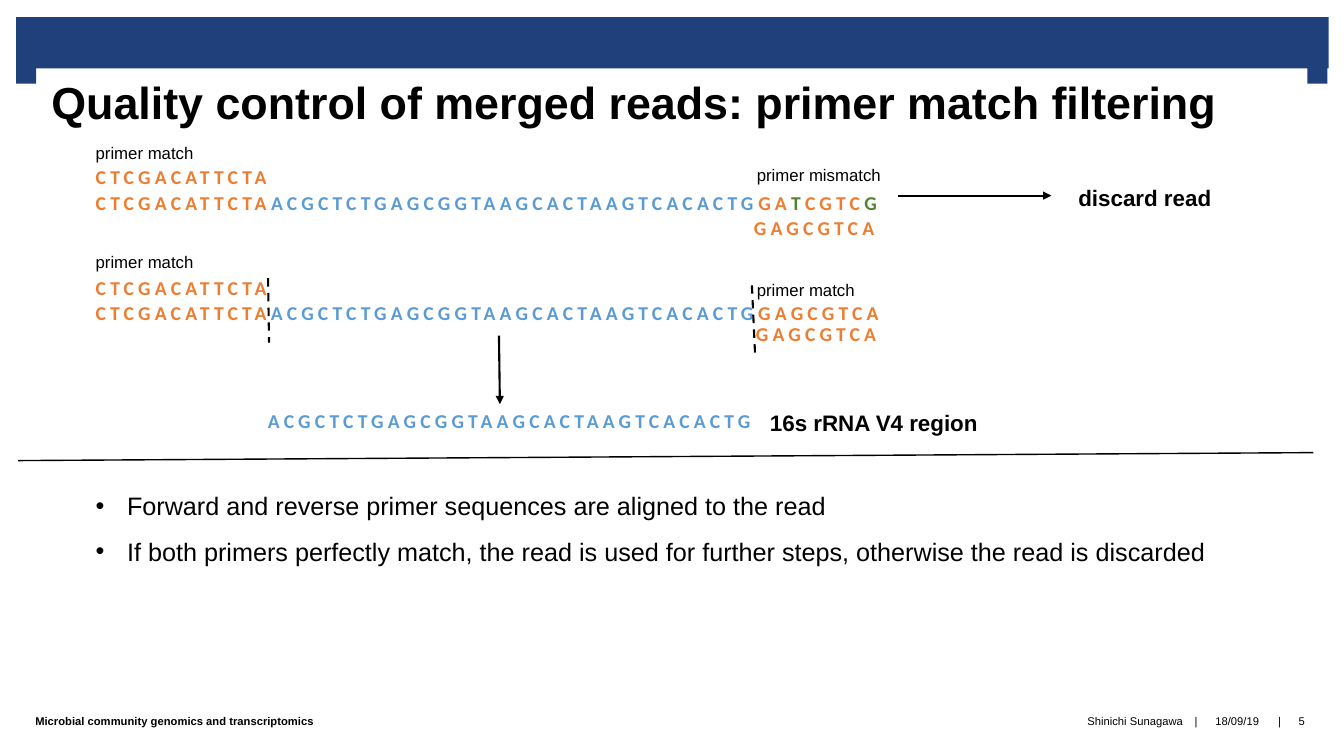
from dataclasses import dataclass

from lxml import etree
from pptx import Presentation
from pptx.dml.color import RGBColor
from pptx.enum import dml, shapes, text
from pptx.oxml.ns import qn
from pptx.util import Pt

COLORS = {"navy": "1F407A", "black": "000000", "white": "FFFFFF",
          "primer": "ED7D31", "insert": "5B9BD5", "mismatch": "548235"}
FORWARD = ("CTCGACATTCTA", "primer")
REVERSE = ("GAGCGTCA", "primer")
INSERT = ("ACGCTCTGAGCGGTAAGCACTAAGTCACACTG", "insert")
MUTATED = (("GA", "primer"), ("T", "mismatch"), ("CGTC", "primer"), ("G", "mismatch"))
LEFT = 61.2
LEFT_ALIGN, CENTER, RIGHT_ALIGN = text.PP_ALIGN.LEFT, text.PP_ALIGN.CENTER, text.PP_ALIGN.RIGHT


@dataclass
class Sequence:
    x: float
    y: float
    w: float
    segments: tuple
    wrap: bool = True


@dataclass
class Label:
    x: float
    y: float
    w: float
    h: float
    words: str
    size: float
    bold: bool = False


@dataclass
class FooterItem:
    x: float
    w: float
    words: str
    align: text.PP_ALIGN = CENTER
    bold: bool = False


@dataclass
class Line:
    x1: float
    y1: float
    x2: float
    y2: float
    width: float = 1.5
    dashed: bool = False
    arrow: bool = False


BARS = [(11.5, 12.2, 937.5, 36.8), (11.5, 46.8, 14.4, 13), (933.8, 46.8, 14.4, 13)]

SEQUENCES = [
    Sequence(LEFT, 132.5, 625, (FORWARD, INSERT, *MUTATED)),
    Sequence(LEFT, 211.7, 587.5, (FORWARD, INSERT, REVERSE)),
    Sequence(LEFT, 114.5, 140.4, (FORWARD,), wrap=False),
    Sequence(LEFT, 193.7, 140.4, (FORWARD,), wrap=False),
    Sequence(531.4, 150.5, 108.7, (REVERSE,)),
    Sequence(532.8, 226.1, 108.7, (REVERSE,)),
    Sequence(184.3, 288.7, 364.3, (INSERT,), wrap=False),
]

LABELS = [
    Label(763.2, 128.2, 152.6, 26.6, "discard read", 16, True),
    Label(542.9, 288.7, 164.9, 26.6, "16s rRNA V4 region", 16, True),
    Label(LEFT, 98.6, 152.6, 21.6, "primer match", 12),
    Label(LEFT, 176.4, 152.6, 21.6, "primer match", 12),
    Label(533.5, 114.5, 152.6, 21.6, "primer mismatch", 12),
    Label(533.5, 196.6, 152.6, 21.6, "primer match", 12),
]

FOOTER = [
    FooterItem(25.2, 454.3, "Microbial community genomics and transcriptomics", LEFT_ALIGN, True),
    FooterItem(480.2, 365, "Shinichi Sunagawa", RIGHT_ALIGN),
    FooterItem(848.9, 10.8, "|"),
    FooterItem(859.7, 48.2, "18/09/19"),
    FooterItem(908.6, 10.8, "|"),
    FooterItem(915.8, 28.1, "5"),
]

LINES = [
    Line(641.5, 139.7, 751, 139.7, arrow=True),
    Line(356.4, 239.8, 357.1, 288.7, arrow=True),
    Line(191.5, 198.7, 192.2, 244.8, dashed=True),
    Line(537.1, 203.8, 539.3, 252, dashed=True),
    Line(13, 329, 938.2, 323.3, width=1),
]

BULLETS = [
    "Forward and reverse primer sequences are aligned to the read",
    "If both primers perfectly match, the read is used for further steps, "
    "otherwise the read is discarded",
]


def rgb(name: str) -> RGBColor:
    return RGBColor.from_string(COLORS[name])


def set_font(font, size: float, color: str = "black", bold: bool = False, name: str = "Arial") -> None:
    for key, value in {"size": Pt(size), "bold": bold, "name": name}.items():
        setattr(font, key, value)
    font.color.rgb = rgb(color)


def set_frame(tf, margins: tuple, anchor=text.MSO_ANCHOR.TOP, wrap: bool = True) -> None:
    """Margins run left, top, right, bottom."""
    sides = ("margin_left", "margin_top", "margin_right", "margin_bottom")
    settings = dict(zip(sides, map(Pt, margins)))
    settings |= {"vertical_anchor": anchor, "word_wrap": wrap, "auto_size": text.MSO_AUTO_SIZE.NONE}
    for key, value in settings.items():
        setattr(tf, key, value)


def add_box(s, x: float, y: float, w: float, h: float, wrap: bool = True):
    tf = s.shapes.add_textbox(*map(Pt, (x, y, w, h))).text_frame
    set_frame(tf, (7.2, 3.6, 7.2, 3.6), wrap=wrap)
    return tf


def add_bar(s, x: float, y: float, w: float, h: float) -> None:
    sp = s.shapes.add_shape(shapes.MSO_SHAPE.RECTANGLE, *map(Pt, (x, y, w, h)))
    sp.shadow.inherit = False
    sp.fill.solid()
    sp.fill.fore_color.rgb = rgb("navy")
    sp.line.fill.background()


def add_title(s, words: str) -> None:
    sp = s.shapes.title
    sp.left, sp.top, sp.width, sp.height = map(Pt, (25.2, 49, 908.6, 48.2))
    sp.fill.solid()
    sp.fill.fore_color.rgb = rgb("white")
    set_frame(sp.text_frame, (11.5, 4.3, 11.5, 0))
    p = sp.text_frame.paragraphs[0]
    p.text = words
    p.alignment = LEFT_ALIGN
    set_font(p.runs[0].font, 32, bold=True)


def add_sequence(s, seq: Sequence) -> None:
    p = add_box(s, seq.x, seq.y, seq.w, 24.5, seq.wrap).paragraphs[0]
    for bases, color in seq.segments:
        r = p.add_run()
        r.text = bases
        set_font(r.font, 14, color, True, "Calibri")
        r._r.get_or_add_rPr().set("spc", "300")


def add_label(s, label: Label) -> None:
    p = add_box(s, label.x, label.y, label.w, label.h).paragraphs[0]
    p.text = label.words
    set_font(p.runs[0].font, label.size, bold=label.bold)


def add_footer_item(s, item: FooterItem) -> None:
    tf = add_box(s, item.x, 496.8, item.w, 36.4)
    set_frame(tf, (0, 0, 0, 0), text.MSO_ANCHOR.MIDDLE, wrap=False)
    p = tf.paragraphs[0]
    p.text = item.words
    p.alignment = item.align
    set_font(p.runs[0].font, 8, bold=item.bold)


def add_line(s, line: Line) -> None:
    ends = map(Pt, (line.x1, line.y1, line.x2, line.y2))
    cxn = s.shapes.add_connector(shapes.MSO_CONNECTOR.STRAIGHT, *ends)
    cxn.line.color.rgb = rgb("black")
    cxn.line.width = Pt(line.width)
    if line.dashed:
        cxn.line.dash_style = dml.MSO_LINE.DASH
    if line.arrow:
        etree.SubElement(cxn.line._get_or_add_ln(), qn("a:tailEnd"), type="triangle")
    etree.SubElement(cxn._element.spPr, qn("a:effectLst"))


def add_bullets(s, items: list[str]) -> None:
    tf = add_box(s, LEFT, 336.2, 883.4, 72.7)
    for i, words in enumerate(items):
        p = tf.add_paragraph() if i else tf.paragraphs[0]
        p.text = words
        p.line_spacing = 1.5
        pPr = p._p.get_or_add_pPr()
        pPr.set("marL", str(Pt(22.5)))
        pPr.set("indent", str(-Pt(22.5)))
        etree.SubElement(pPr, qn("a:buFont"), typeface="Arial")
        etree.SubElement(pPr, qn("a:buChar"), char="•")
        set_font(p.runs[0].font, 18)


def main() -> None:
    prs = Presentation()
    prs.slide_width, prs.slide_height = Pt(960), Pt(540)
    s = prs.slides.add_slide(prs.slide_layouts[5])
    for bar in BARS:
        add_bar(s, *bar)
    add_title(s, "Quality control of merged reads: primer match filtering")
    add_bullets(s, BULLETS)
    for draw, items in ((add_footer_item, FOOTER), (add_sequence, SEQUENCES),
                        (add_line, LINES), (add_label, LABELS)):
        for item in items:
            draw(s, item)
    prs.save("out.pptx")


if __name__ == "__main__":
    main()
